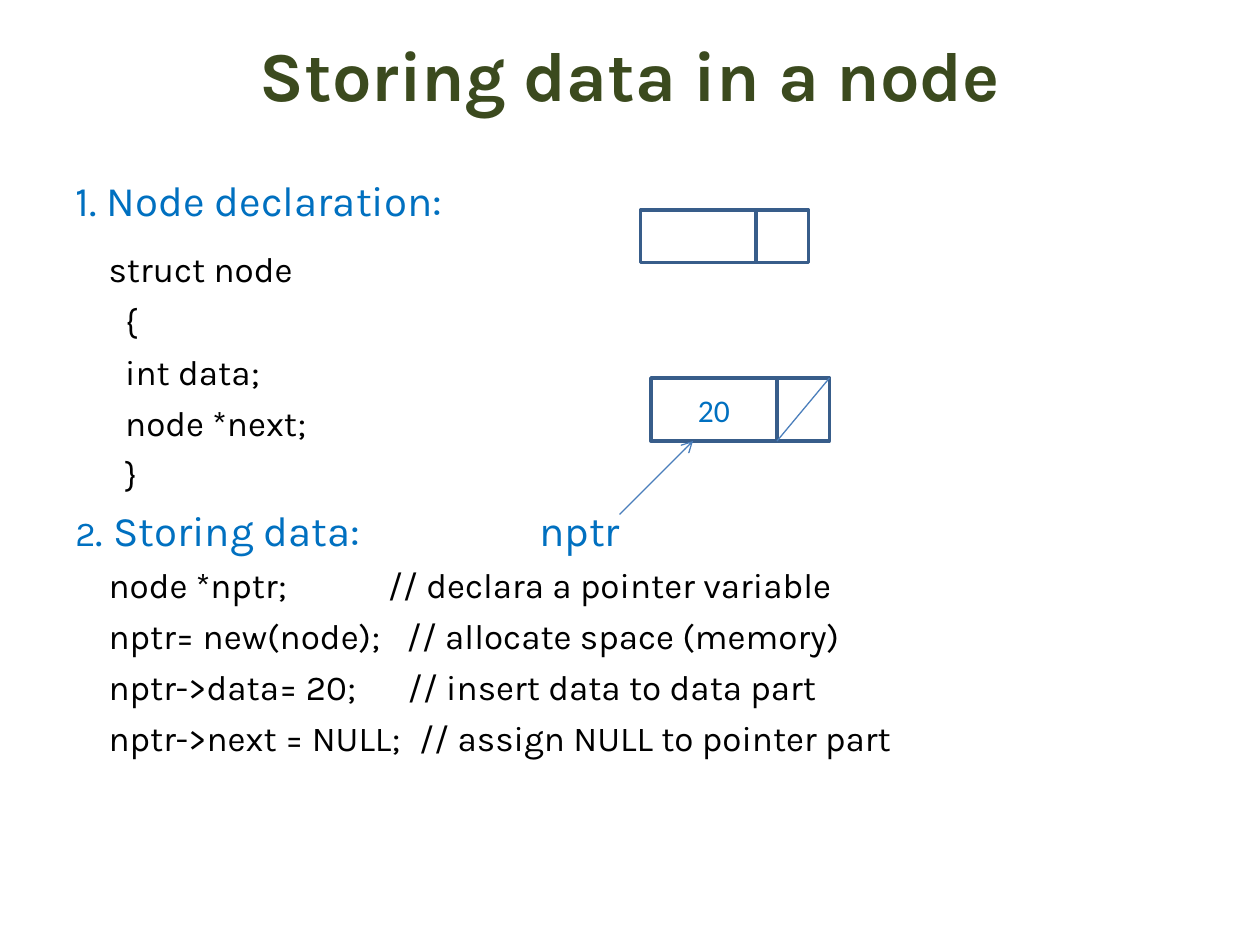
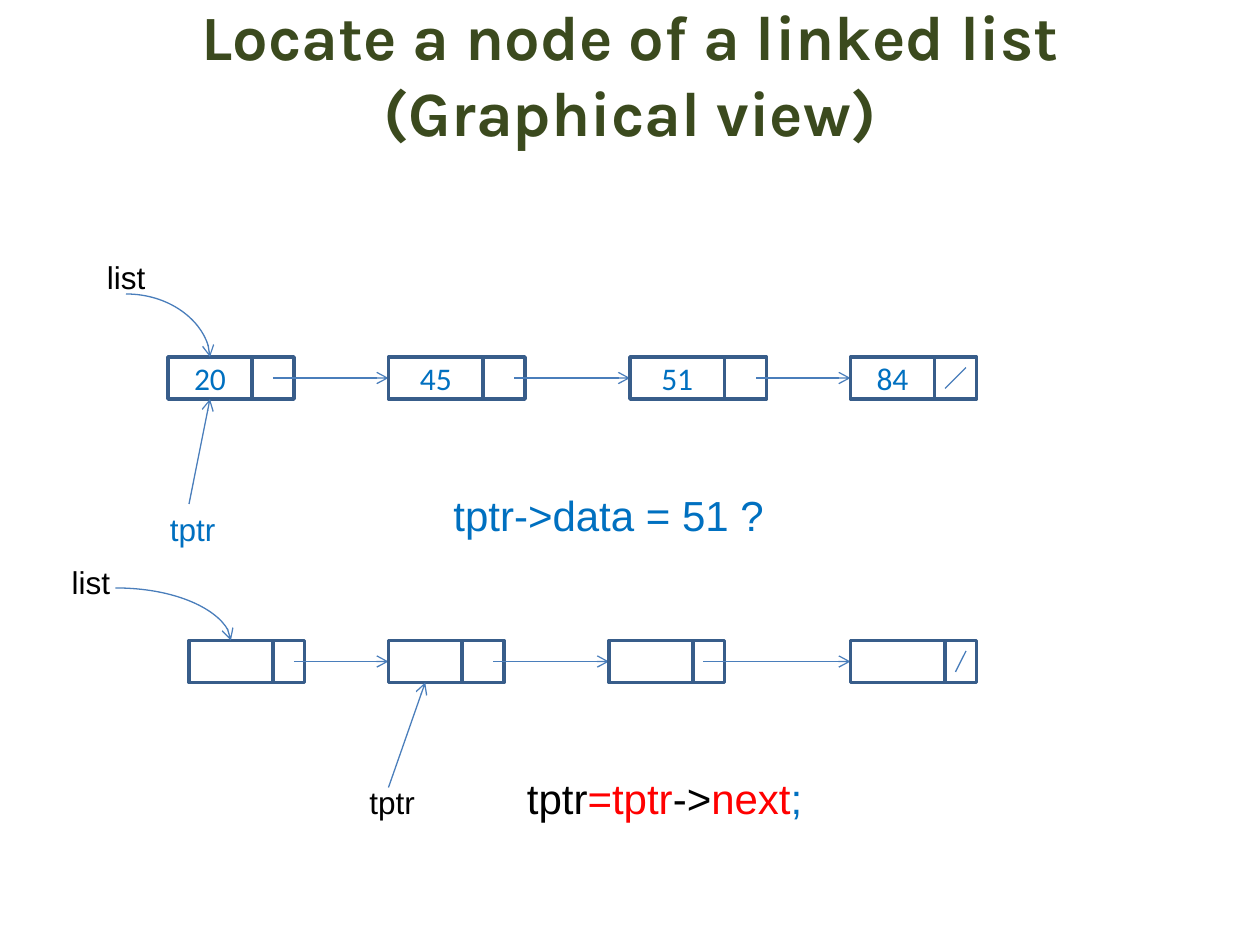
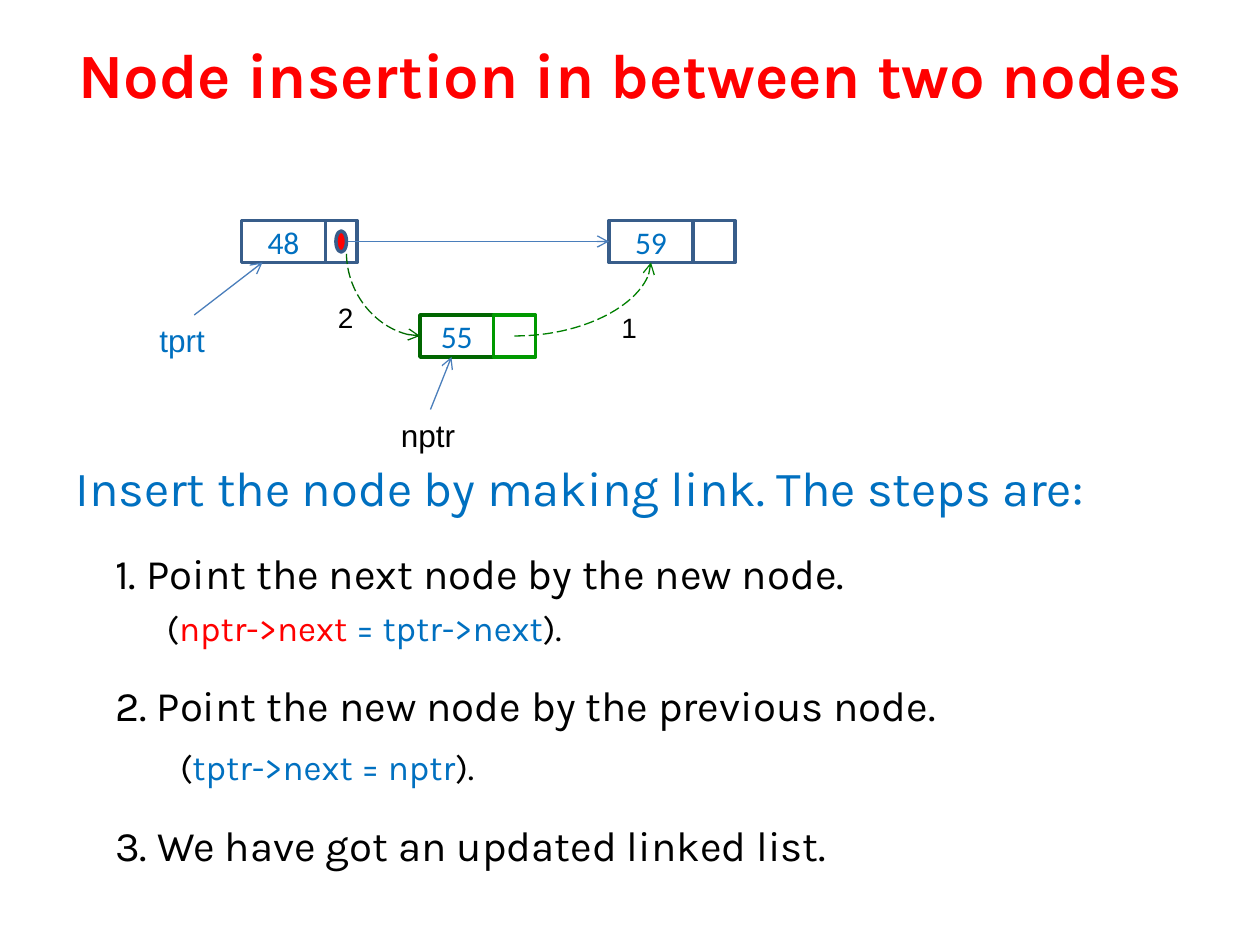
"""Build three slides that explain the nodes of a linked list."""
from pptx import Presentation
from pptx.dml.color import RGBColor
from pptx.enum.dml import MSO_LINE
from pptx.enum.shapes import MSO_CONNECTOR, MSO_SHAPE
from pptx.enum.text import MSO_ANCHOR, MSO_AUTO_SIZE, PP_ALIGN
from pptx.oxml.xmlchemy import OxmlElement
from pptx.util import Cm, Pt

BLACK = RGBColor(0, 0, 0)
RED = RGBColor(0xFF, 0, 0)
BLUE = RGBColor(0, 0x70, 0xC0)
OLIVE = RGBColor(0x3B, 0x4A, 0x1E)
NODE_BLUE = RGBColor(0x38, 0x5D, 0x8A)
LINK_BLUE = RGBColor(0x4A, 0x7E, 0xBB)
DARK_GREEN = RGBColor(0, 0x66, 0)
LIGHT_GREEN = RGBColor(0, 0x99, 0)
LINK_GREEN = RGBColor(0, 0x80, 0)
STEP_GREEN = RGBColor(0, 0x6A, 0)


def grid(count):
    """Return a length of so many twelfths of an inch."""
    return Cm(2.54 * count / 12)


def write(paragraph, text, size=18, color=BLACK, font="Karla", bold=False):
    """Append formatted text to a paragraph."""
    run = paragraph.add_run()
    run.text = text
    run.font.size = Pt(size)
    run.font.name = font
    run.font.bold = bold
    run.font.color.rgb = color


class Deck:
    """Hold the shared style and the current slide."""

    def __init__(self):
        self.presentation = Presentation()
        self.presentation.slide_width = Cm(25.4)
        self.presentation.slide_height = Cm(19.05)
        self.slide = None

    def new_slide(self, title, size=36, color=OLIVE):
        """Add a slide with its title."""
        self.slide = self.presentation.slides.add_slide(self.presentation.slide_layouts[5])
        shape = self.slide.shapes.title
        shape.left, shape.top, shape.width, shape.height = map(grid, (6, 1, 108, 12))
        frame = shape.text_frame
        frame.auto_size = MSO_AUTO_SIZE.NONE
        frame.vertical_anchor = MSO_ANCHOR.MIDDLE
        frame.paragraphs[0].alignment = PP_ALIGN.CENTER
        write(frame.paragraphs[0], title, size=size, color=color, bold=True)

    def text_box(self, left, top, width, height):
        """Add a wrapping text box and return its text frame."""
        box = self.slide.shapes.add_textbox(*map(grid, (left, top, width, height)))
        box.text_frame.word_wrap = True
        return box.text_frame

    def label(self, text, left, top, width=12, height=5, **style):
        """Add a one-line label."""
        frame = self.text_box(left, top, width, height)
        write(frame.paragraphs[0], text, font="Arial", **style)
        return frame.paragraphs[0]

    def body(self, top, height, rows):
        """Add body text from rows of runs, size and paragraph format."""
        frame = self.text_box(6, top, 108, height)
        for index, (runs, size, layout) in enumerate(rows):
            paragraph = frame.add_paragraph() if index else frame.paragraphs[0]
            properties = paragraph._p.get_or_add_pPr()
            if "indent" in layout:
                properties.set("marL", str(Cm(layout["indent"])))
            if "tab" in layout:
                tabs = OxmlElement("a:tabLst")
                tab = OxmlElement("a:tab")
                tab.set("pos", str(Cm(layout["tab"])))
                tab.set("algn", "l")
                tabs.append(tab)
                properties.append(tabs)
            if "before" in layout:
                paragraph.space_before = Pt(layout["before"])
            paragraph.line_spacing = layout.get("spacing", 1.0)
            for text, color, *own_size in runs:
                write(paragraph, text, size=own_size[0] if own_size else size, color=color)

    def cell(self, left, top, width, height, text="", color=NODE_BLUE,
             fill=None, preset=MSO_SHAPE.RECTANGLE):
        """Add one outlined part of a node."""
        shape = self.slide.shapes.add_shape(preset, *map(grid, (left, top, width, height)))
        shape.shadow.inherit = False
        if fill is None:
            shape.fill.background()
        else:
            shape.fill.solid()
            shape.fill.fore_color.rgb = fill
        shape.line.color.rgb = color
        shape.line.width = Pt(2)
        if text:
            paragraph = shape.text_frame.paragraphs[0]
            paragraph.alignment = PP_ALIGN.CENTER
            write(paragraph, text, color=BLUE, font="Calibri")

    def node(self, left, top, data_width, next_width, height=4, text="",
             colors=(NODE_BLUE, NODE_BLUE)):
        """Add a node made of a data part and a pointer part."""
        self.cell(left, top, data_width, height, text=text, color=colors[0])
        self.cell(left + data_width, top, next_width, height, color=colors[1])

    def link(self, start, end, color=LINK_BLUE, arrow="tailEnd", curved=False, dashed=False):
        """Add a line between two points, by default with an arrowhead at its end."""
        kind = MSO_CONNECTOR.CURVE if curved else MSO_CONNECTOR.STRAIGHT
        connector = self.slide.shapes.add_connector(kind, *map(grid, (*start, *end)))
        connector.line.color.rgb = color
        connector.line.width = Pt(0.75)
        if dashed:
            connector.line.dash_style = MSO_LINE.LONG_DASH
        properties = connector._element.spPr
        if curved:
            properties.prstGeom.set("prst", "curvedConnector2")
        if arrow:
            head = OxmlElement(f"a:{arrow}")
            head.set("type", "arrow")
            connector.line._get_or_add_ln().append(head)
        properties.append(OxmlElement("a:effectLst"))

    def linked_list(self, top, nodes):
        """Add a row of linked nodes that ends with a null pointer."""
        middle = top + 2
        for index, (left, data_width, next_width, gap, text) in enumerate(nodes):
            self.node(left, top, data_width, next_width, text=text)
            right = left + data_width + next_width
            if index + 1 < len(nodes):
                self.link((right - gap, middle), (nodes[index + 1][0], middle))
            else:
                self.link((right - 1, top + 1), (right - next_width + 1, top + 3), arrow=None)


def storing_slide(deck):
    """Show how a node is declared and filled."""
    deck.new_slide("Storing data in a node", size=40)
    declaration = [
        ([(text, BLACK)], 20, {"before": before})
        for text, before in (("    struct node", 13), ("      {", 6), ("      int data;", 5),
                             ("      node *next;", 5), ("      }", 5))
    ]
    statements = [
        ([(f"    {code}\t// {comment}", BLACK)], 20, {"before": 5, "tab": tab})
        for code, comment, tab in (
            ("node *nptr;", "declara a pointer variable", 6.3),
            ("nptr= new(node);", "allocate space (memory)", 6.68),
            ("nptr->data= 20;", "insert data to data part", 6.7),
            ("nptr->next = NULL;", "assign NULL to pointer part", 6.93))
    ]
    deck.body(16, 66, [
        ([("1. Node declaration:", BLUE)], 24, {}),
        *declaration,
        ([("2", BLUE, 20), (". Storing data:\tnptr", BLUE)], 24, {"before": 6, "tab": 9.35}),
        *statements,
    ])
    deck.node(61, 20, 11, 5, height=5)
    deck.node(62, 36, 12, 5, height=6, text="20")
    deck.link((59, 49), (66, 42))
    deck.link((79, 36), (74, 42), arrow=None)


def locating_slide(deck):
    """Show the search for a node in two steps."""
    deck.new_slide("Locate a node of a linked list (Graphical view)")
    deck.linked_list(34, [(16, 8, 4, 2, "20"), (37, 9, 4, 1, "45"),
                          (60, 9, 4, 1, "51"), (81, 8, 4, 0, "84")])
    deck.link((18, 48), (20, 38))
    deck.link((12, 28), (20, 34), curved=True)
    deck.label("list", 9, 24)
    deck.label("tptr", 15, 48, color=BLUE)
    deck.label("tptr->data = 51 ?", 42, 46, width=44, height=6, size=24, color=BLUE)

    deck.linked_list(61, [(18, 8, 3, 1, ""), (37, 7, 4, 1, ""),
                          (58, 8, 3, 2, ""), (81, 9, 3, 0, "")])
    deck.link((11, 56), (22, 61), curved=True)
    deck.link((37, 75), (40.5, 65))
    deck.label("tptr", 34, 74)
    deck.label("list", 5.65, 53)
    assignment = deck.label("tptr", 49, 73, width=58, height=6, size=24)
    for text, color in (("=tptr", RED), ("->", BLACK), ("next", RED), (";", BLUE)):
        write(assignment, text, size=24, color=color, font="Arial")


def insertion_slide(deck):
    """Show how a node is inserted between two others."""
    deck.new_slide("Node insertion in between two nodes", color=RED)
    step = {"indent": 0.8, "before": 6, "spacing": 1.4}
    deck.body(43, 40, [
        ([("Insert the node by making link. The steps are:", BLUE)], 28, {}),
        ([("1. Point the next node by the new node.", BLACK)], 24, step),
        ([("(", BLACK), ("nptr->next ", RED), ("= tptr->next", BLUE), (").", BLACK)],
         20, {"indent": 1.84, "before": 5}),
        ([("2. Point the new node by the previous node.", BLACK)], 24, step),
        ([("(", BLACK), ("tptr->next = nptr", BLUE), (").", BLACK)],
         20, {"indent": 2.11, "before": 9}),
        ([("3. We have got an updated linked list.", BLACK)], 24, {**step, "before": 7}),
    ])
    deck.node(23, 21, 8, 3, text="48")
    deck.node(58, 21, 8, 4, text="59")
    deck.node(40, 30, 7, 4, text="55", colors=(DARK_GREEN, LIGHT_GREEN))
    deck.link((33, 23), (58, 23))
    deck.link((49, 32), (62, 25), color=LINK_GREEN, curved=True, dashed=True)
    deck.link((40, 32), (33, 24), color=STEP_GREEN, arrow="headEnd", curved=True, dashed=True)
    deck.label("1", 58, 29, width=7, size=16)
    deck.label("2", 31, 28, width=4, size=16)
    deck.link((18.5, 30), (25, 25))
    deck.label("tprt", 14, 30, width=9, color=BLUE)
    deck.link((41, 39), (43, 34))
    deck.label("nptr", 37, 39)
    deck.cell(32, 22, 1, 2, fill=RED, preset=MSO_SHAPE.FLOWCHART_CONNECTOR)


def main():
    """Build and save the slides."""
    deck = Deck()
    storing_slide(deck)
    locating_slide(deck)
    insertion_slide(deck)
    deck.presentation.save("out.pptx")


if __name__ == "__main__":
    main()
